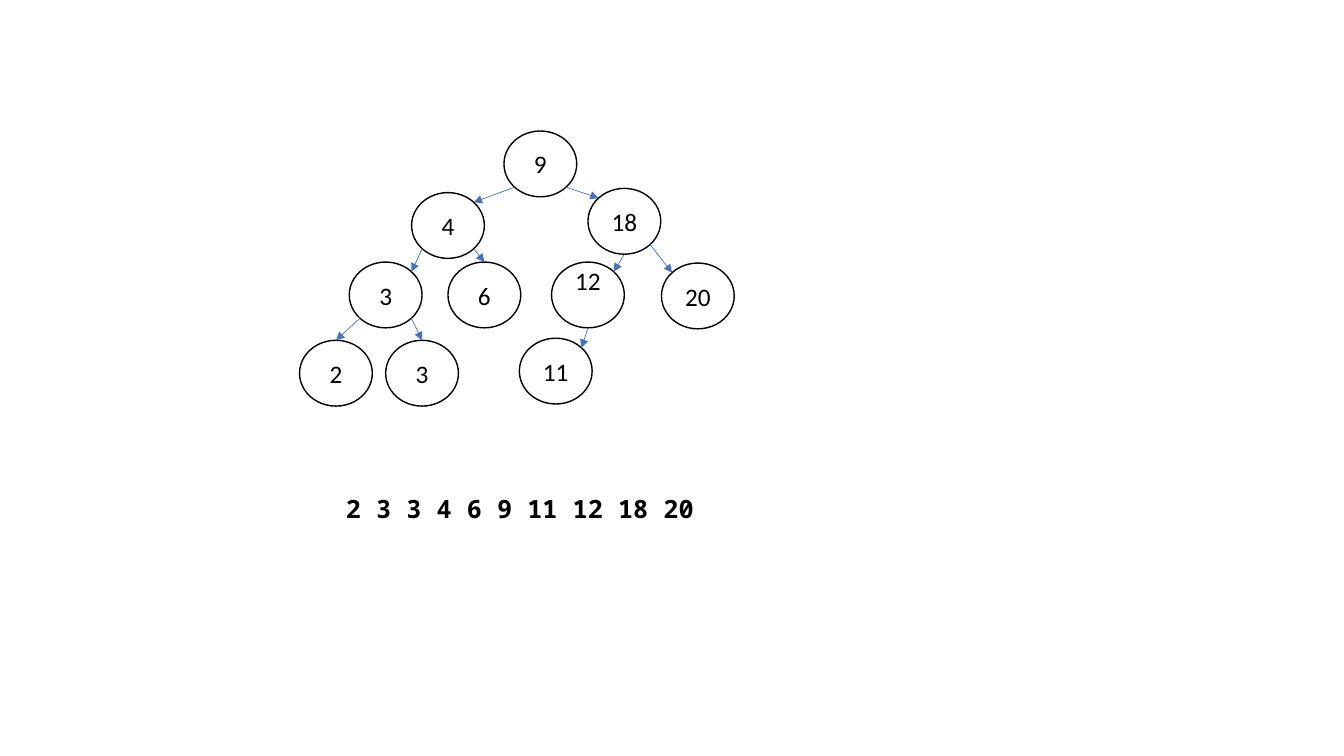
import math
from dataclasses import dataclass

import lxml.etree
import pptx
import pptx.dml.color
import pptx.enum.shapes
import pptx.enum.text
import pptx.oxml.ns
import pptx.util

Pt = pptx.util.Pt


@dataclass(frozen=True)
class Theme:
    """Colours, fonts and sizes of the slide."""
    ink: str = "000000"
    arrow: str = "4472C4"
    node_font: str = "Calibri"
    list_font: str = "Noto Sans Mono"
    text_size: float = 18
    node_line: float = 1
    arrow_line: float = 0.5


THEME = Theme()
NODE_WIDTH, NODE_HEIGHT = 52, 47

# Node key: (value, left, top) in points from the corner of the tree
NODES = {
    "root": ("9", 146, 0),
    "L": ("4", 80, 44),
    "R": ("18", 206, 41),
    "LL": ("3", 35.5, 93.6),
    "LR": ("6", 106, 93.6),
    "RL": ("12", 180, 93.6),
    "RR": ("20", 258.5, 94.3),
    "LLL": ("2", 0, 149.5),
    "LLR": ("3", 61.5, 149.5),
    "RLL": ("11", 157, 148),
}
RAISED_NODE = "RL"

# Connection sites of an ellipse run anticlockwise from the top in 45 degree steps
TOP, TOP_LEFT, BOTTOM_LEFT, BOTTOM, BOTTOM_RIGHT, TOP_RIGHT = 0, 1, 3, 4, 5, 7
EDGES = [
    ("root", BOTTOM_LEFT, "L", TOP_RIGHT),
    ("root", BOTTOM_RIGHT, "R", TOP_LEFT),
    ("R", BOTTOM_RIGHT, "RR", TOP_LEFT),
    ("R", BOTTOM, "RL", TOP_RIGHT),
    ("RL", BOTTOM, "RLL", TOP_RIGHT),
    ("L", BOTTOM_LEFT, "LL", TOP_RIGHT),
    ("L", BOTTOM_RIGHT, "LR", TOP),
    ("LL", BOTTOM_LEFT, "LLL", TOP),
    ("LL", BOTTOM_RIGHT, "LLR", TOP),
]


def rgb(colour):
    """Turn a hex string into a colour."""
    return pptx.dml.color.RGBColor.from_string(colour)


def add_run(paragraph, words, font_name, bold=False):
    """Add one formatted run to a paragraph."""
    run = paragraph.add_run()
    run.text = words
    run.font.name = font_name
    run.font.size = Pt(THEME.text_size)
    run.font.bold = bold
    run.font.color.rgb = rgb(THEME.ink)


def add_node(slide, value, left, top, raised):
    """Draw one tree node, with its value centred or raised."""
    node = slide.shapes.add_shape(
        pptx.enum.shapes.MSO_SHAPE.OVAL,
        Pt(left), Pt(top), Pt(NODE_WIDTH), Pt(NODE_HEIGHT))
    node.shadow.inherit = False
    node.fill.background()
    node.line.color.rgb = rgb(THEME.ink)
    node.line.width = Pt(THEME.node_line)
    frame = node.text_frame
    frame.word_wrap = True
    frame.vertical_anchor = pptx.enum.text.MSO_ANCHOR.MIDDLE
    if raised:
        frame.margin_top, frame.margin_bottom = Pt(0), Pt(21)
    paragraph = frame.paragraphs[0]
    paragraph.alignment = pptx.enum.text.PP_ALIGN.CENTER
    add_run(paragraph, value, THEME.node_font)
    return node


def site_point(node, site):
    """Return the position of a connection site on a node."""
    angle = math.radians(45 * site)
    x = node.left + node.width / 2 * (1 - math.sin(angle))
    y = node.top + node.height / 2 * (1 - math.cos(angle))
    return round(x), round(y)


def add_edge(slide, parent, start_site, child, end_site):
    """Draw an arrow from parent to child and attach it to both."""
    edge = slide.shapes.add_connector(
        pptx.enum.shapes.MSO_CONNECTOR.STRAIGHT,
        *site_point(parent, start_site), *site_point(child, end_site))
    edge.line.color.rgb = rgb(THEME.arrow)
    edge.line.width = Pt(THEME.arrow_line)
    qn = pptx.oxml.ns.qn
    properties = edge.element.spPr
    lxml.etree.SubElement(properties.find(qn("a:ln")), qn("a:tailEnd"), type="triangle")
    lxml.etree.SubElement(properties, qn("a:effectLst"))
    links = edge.element.find(qn("p:nvCxnSpPr")).find(qn("p:cNvCxnSpPr"))
    for tag, node, site in (("a:stCxn", parent, start_site), ("a:endCxn", child, end_site)):
        lxml.etree.SubElement(links, qn(tag), id=str(node.shape_id), idx=str(site))


def add_tree(slide, left, top):
    """Draw the binary search tree from its top left corner."""
    nodes = {
        key: add_node(slide, value, left + x, top + y, key == RAISED_NODE)
        for key, (value, x, y) in NODES.items()
    }
    for parent, start_site, child, end_site in EDGES:
        add_edge(slide, nodes[parent], start_site, nodes[child], end_site)


def add_sorted_values(slide, left, top, width, height):
    """Write the values of the tree in sorted order."""
    sorted_values = slide.shapes.add_textbox(Pt(left), Pt(top), Pt(width), Pt(height))
    frame = sorted_values.text_frame
    frame.word_wrap = True
    values = sorted((value for value, _, _ in NODES.values()), key=int)
    add_run(frame.paragraphs[0], " ".join(values), THEME.list_font, bold=True)


def main():
    """Build and save the slide."""
    presentation = pptx.Presentation()
    presentation.slide_width, presentation.slide_height = Pt(960), Pt(540)
    slide = presentation.slides.add_slide(presentation.slide_layouts.get_by_name("Blank"))
    add_tree(slide, left=214, top=93.6)
    add_sorted_values(slide, left=240, top=348.5, width=480, height=29)
    presentation.save("out.pptx")


main()
